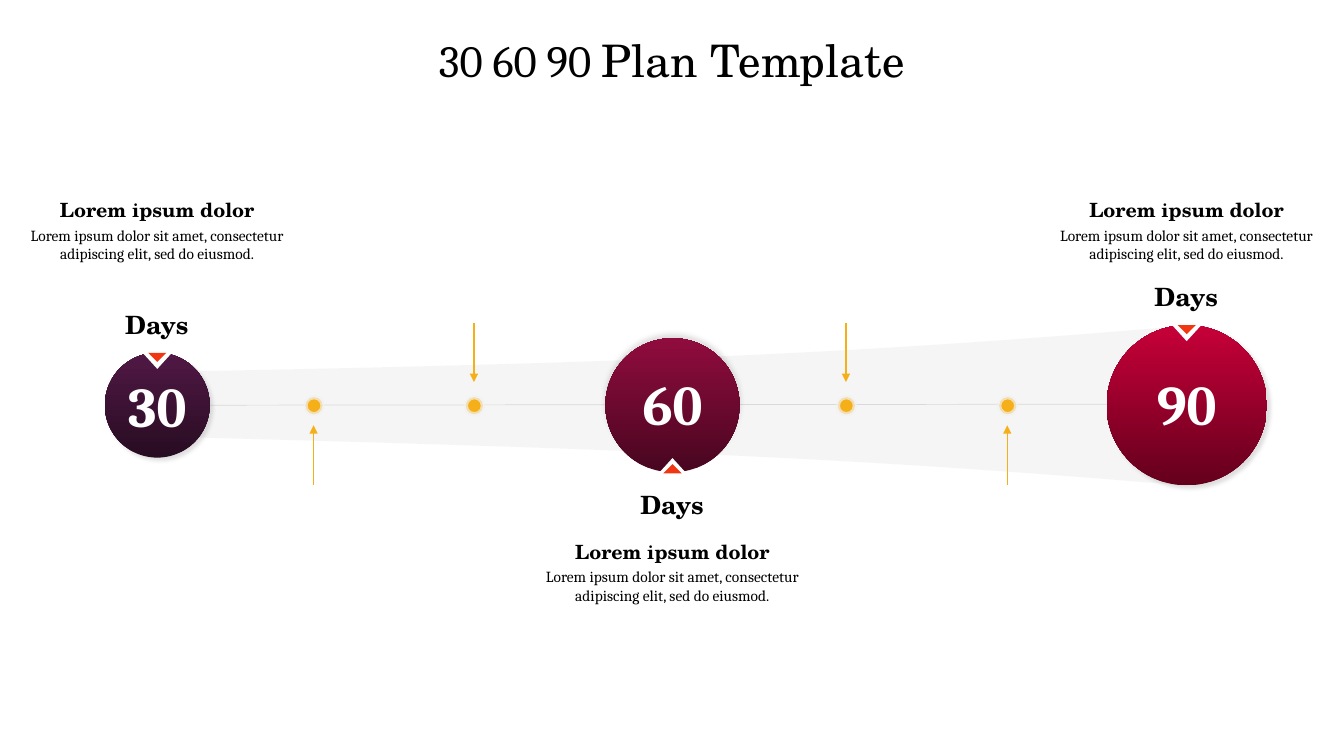
from lxml.etree import SubElement
from pptx import Presentation
from pptx.dml.color import RGBColor
from pptx.enum.shapes import MSO_CONNECTOR as LINE, MSO_SHAPE as SHAPE
from pptx.enum.text import MSO_ANCHOR as ANCHOR, PP_ALIGN as ALIGN
from pptx.oxml.ns import qn
from pptx.util import Inches, Pt

BLACK = RGBColor(0x00, 0x00, 0x00)
WHITE = RGBColor(0xFF, 0xFF, 0xFF)
PALE = RGBColor(0xF2, 0xF2, 0xF2)
GREY = RGBColor(0xD9, 0xD9, 0xD9)
AMBER = RGBColor(0xF5, 0xAF, 0x19)
RED = RGBColor(0xF1, 0x36, 0x12)
SERIF, DISPLAY = "Cambria", "TeX Gyre Schola"

TITLE = [("30 60 90 ", SERIF), ("Plan Template", DISPLAY)]
HEADING = "Lorem ipsum dolor"
BODY = "Lorem ipsum dolor sit amet, consectetur adipiscing elit, sed do eiusmod."
STAGES = [
    dict(days="30", center=1.56, size=1.04, number_top=3.69, note_top=1.91, above=True,
         dark=RGBColor(0x28, 0x0C, 0x22), light=RGBColor(0x50, 0x18, 0x45), blur=3, angle=45),
    dict(days="60", center=6.67, size=1.33, number_top=3.67, note_top=5.3, above=False,
         dark=RGBColor(0x48, 0x06, 0x1F), light=RGBColor(0x90, 0x0C, 0x3E), blur=4, angle=270),
    dict(days="90", center=11.77, size=1.59, number_top=3.67, note_top=1.91, above=True,
         dark=RGBColor(0x64, 0x00, 0x1C), light=RGBColor(0xC7, 0x00, 0x39), blur=3, angle=45),
]
MILESTONES = [(3.11, 4.22, 4.81), (4.7, 3.79, 3.2), (8.39, 3.79, 3.2), (9.99, 4.22, 4.81)]
BEAM = [(1.56, 3.69), (6.48, 3.6), (8.6, 3.5), (11.78, 3.23),
        (11.78, 4.82), (8.61, 4.55), (6.51, 4.46), (1.56, 4.33)]
BEAM_CURVES = [(0, 3), (4, 7)]
AXIS = 4.02

deck = Presentation()
deck.slide_width, deck.slide_height = Inches(13.33), Inches(7.5)
page = deck.slides.add_slide(deck.slide_layouts[6])


def set_alpha(fill, percent):
    color = fill._xPr.find(qn("a:solidFill"))[0]
    SubElement(color, qn("a:alpha"), val=str(percent * 1000))


def add_shape(kind, left, top, width, height, fill=None, flip=False):
    shape = page.shapes.add_shape(kind, Inches(left), Inches(top), Inches(width), Inches(height))
    if fill is not None:
        shape.fill.solid()
        shape.fill.fore_color.rgb = fill
    shape.line.fill.background()
    shape.shadow.inherit = False
    if flip:
        shape._element.spPr.xfrm.set("flipV", "1")
    return shape


def add_line(start, end, color, width, arrow=False):
    line = page.shapes.add_connector(LINE.STRAIGHT, *[Inches(value) for value in start + end])
    line.line.color.rgb = color
    line.line.width = Pt(width)
    if arrow:
        SubElement(line.line._get_or_add_ln(), qn("a:headEnd"), type="triangle")
    SubElement(line._element.spPr, qn("a:effectLst"))


def add_box(left, top, width, height, wrap=True, inset=None, anchor=ANCHOR.TOP):
    box = page.shapes.add_textbox(Inches(left), Inches(top), Inches(width), Inches(height))
    frame = box.text_frame
    frame.word_wrap = wrap
    frame.vertical_anchor = anchor
    if inset is not None:
        frame.margin_left = frame.margin_right = Inches(inset)
        frame.margin_top = frame.margin_bottom = Inches(inset)
    frame.paragraphs[0].alignment = ALIGN.CENTER
    return frame


def add_text(para, text, font=SERIF, size=11, color=BLACK, bold=False):
    span = para.add_run()
    span.text = text
    span.font.name, span.font.size, span.font.bold = font, Pt(size), bold
    span.font.color.rgb = color


def add_beam():
    points = [(Inches(x), Inches(y)) for x, y in BEAM]
    builder = page.shapes.build_freeform(*points[0], scale=1.0)
    builder.add_line_segments(points[1:], close=True)
    beam = builder.convert_to_shape()
    beam.fill.solid()
    beam.fill.fore_color.rgb = PALE
    set_alpha(beam.fill, 70)
    beam.line.fill.background()
    beam.shadow.inherit = False
    path = next(beam._element.iter(qn("a:path")))
    steps = list(path)
    for first, last in BEAM_CURVES:
        curve = SubElement(path, qn("a:cubicBezTo"))
        steps[first + 1].addprevious(curve)
        for step in steps[first + 1:last + 1]:
            curve.append(step[0])
            path.remove(step)


def add_milestone(center, tip, tail):
    dot = add_shape(SHAPE.OVAL, center - 0.08, AXIS - 0.08, 0.17, 0.17, AMBER)
    dot.line.color.rgb = PALE
    dot.line.width = Pt(3)
    set_alpha(dot.line.fill, 70)
    add_line((center, tip), (center, tail), AMBER, 1, arrow=True)


def add_stage(days, center, size, number_top, note_top, above, dark, light, blur, angle):
    top = AXIS - size / 2
    bottom = top + size
    disc = add_shape(SHAPE.OVAL, center - size / 2, top, size, size)
    disc.fill.gradient()
    disc.fill.gradient_angle = 90
    for stop, color in zip(disc.fill.gradient_stops, (dark, light)):
        stop.color.rgb = color
    effects = disc._element.spPr.find(qn("a:effectLst"))
    shadow = SubElement(effects, qn("a:outerShdw"), blurRad=str(Pt(blur)), dist=str(Pt(3)),
                        dir=str(angle * 60000), algn="ctr", rotWithShape="0")
    tone = SubElement(shadow, qn("a:srgbClr"), val=str(BLACK))
    SubElement(tone, qn("a:alpha"), val="13000")

    number = add_box(center - 0.33, number_top, 0.66, 0.67, wrap=False, inset=0)
    add_text(number.paragraphs[0], days, size=40, color=WHITE, bold=True)
    label_top = top - 0.43 if above else bottom + 0.17
    label = add_box(center - 0.32, label_top, 0.63, 0.3, wrap=False, inset=0)
    add_text(label.paragraphs[0], "Days", font=DISPLAY, size=18, bold=True)

    notch_top, mark_top = (top - 0.01, top) if above else (bottom - 0.14, bottom - 0.08)
    add_shape(SHAPE.ISOSCELES_TRIANGLE, center - 0.155, notch_top, 0.31, 0.17, WHITE, flip=above)
    add_shape(SHAPE.ISOSCELES_TRIANGLE, center - 0.09, mark_top, 0.18, 0.09, RED, flip=above)

    note = add_box(center - 1.41, note_top, 2.82, 0.75, anchor=ANCHOR.MIDDLE)
    add_text(note.paragraphs[0], HEADING, font=DISPLAY, size=14, bold=True)
    para = note.add_paragraph()
    para.alignment = ALIGN.CENTER
    para.space_before = Pt(3)
    add_text(para, BODY)


title = add_box(0, 0.28, 13.33, 0.64)
for text, font in TITLE:
    add_text(title.paragraphs[0], text, font=font, size=32)
add_beam()
add_line((2.08, AXIS), (10.98, AXIS - 0.01), GREY, 0.5)
for milestone in MILESTONES:
    add_milestone(*milestone)
for stage in STAGES:
    add_stage(**stage)

deck.save("out.pptx")
